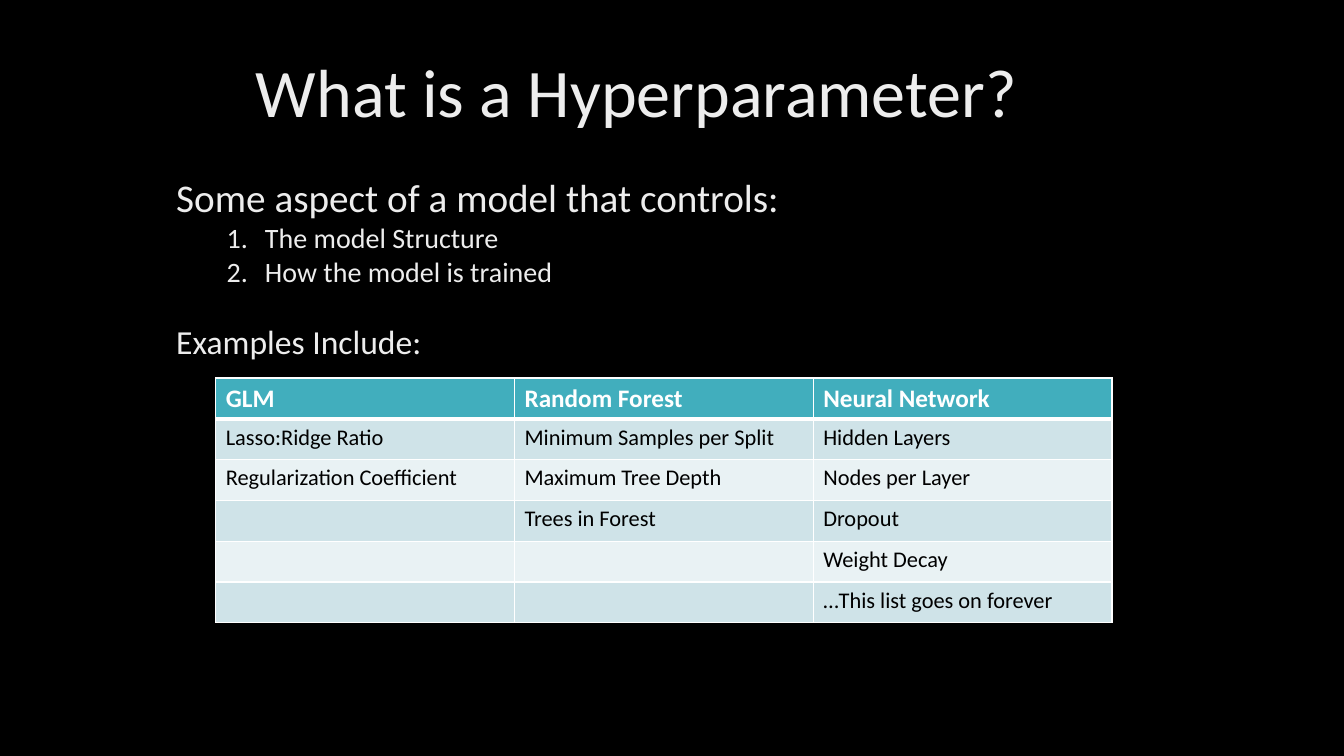
from lxml import etree
from pptx import Presentation
from pptx.dml.color import RGBColor
from pptx.enum.text import MSO_ANCHOR
from pptx.oxml.ns import qn
from pptx.util import Inches, Pt

COLORS = {
    "background": "000000",
    "text": "EDEDED",
    "header": "41AEBD",
    "odd_row": "CFE3E8",
    "even_row": "E9F2F4",
    "border": "FFFFFF",
    "header_text": "FFFFFF",
    "cell_text": "000000",
}
FONT = "Calibri"

TITLE = [{"text": "What is a Hyperparameter?", "size": 48.6, "line": 0.9}]
BODY = [
    {"text": "Some aspect of a model that controls:", "size": 28},
    {"text": "The model Structure", "size": 20, "before": 5, "numbered": True},
    {"text": "How the model is trained", "size": 20, "before": 5, "numbered": True},
    {"text": "Examples Include:", "size": 24, "before": 29.5},
]
EXAMPLES = [
    ("GLM", "Random Forest", "Neural Network"),
    ("Lasso:Ridge Ratio", "Minimum Samples per Split", "Hidden Layers"),
    ("Regularization Coefficient", "Maximum Tree Depth", "Nodes per Layer"),
    ("", "Trees in Forest", "Dropout"),
    ("", "", "Weight Decay"),
    ("", "", "…This list goes on forever"),
]
TITLE_BOX = (2.44, 0.57, 8.45, 0.75)
BODY_BOX = (1.65, 1.76, 9.86, 1.99)
TABLE_BOX = (2.14, 3.75, 8.89, 2.43)


def set_font(font, size, color, bold=False):
    values = {"name": FONT, "size": Pt(size), "bold": bold}
    for name, value in values.items():
        setattr(font, name, value)
    font.color.rgb = RGBColor.from_string(COLORS[color])


def number_paragraph(paragraph):
    properties = paragraph._p.get_or_add_pPr()
    properties.set("marL", str(Inches(0.88)))
    properties.set("indent", str(Inches(-0.38)))
    etree.SubElement(properties, qn("a:buAutoNum"), type="arabicPeriod")


def add_text(slide, box, items, anchor):
    frame = slide.shapes.add_textbox(*map(Inches, box)).text_frame
    frame.word_wrap = True
    frame.vertical_anchor = anchor
    for index, item in enumerate(items):
        paragraph = frame.add_paragraph() if index else frame.paragraphs[0]
        if item.get("numbered"):
            number_paragraph(paragraph)
        paragraph.line_spacing = item.get("line", 0.8)
        paragraph.space_before = Pt(item.get("before", 0))
        run = paragraph.add_run()
        run.text = item["text"]
        set_font(run.font, item["size"], "text")


def set_borders(cell, widths):
    properties = cell._tc.get_or_add_tcPr()
    for side, width in widths.items():
        line = etree.SubElement(properties, qn(f"a:ln{side}"), w=str(Pt(width)))
        fill = etree.SubElement(line, qn("a:solidFill"))
        etree.SubElement(fill, qn("a:srgbClr"), val=COLORS["border"])


def add_examples(slide):
    row_count, column_count = len(EXAMPLES), len(EXAMPLES[0])
    table = slide.shapes.add_table(row_count, column_count, *map(Inches, TABLE_BOX)).table
    for row, texts in enumerate(EXAMPLES):
        is_header = row == 0
        fill = "header" if is_header else ("even_row", "odd_row")[row % 2]
        size, color = (18, "header_text") if is_header else (16, "cell_text")
        widths = {"L": 1, "R": 1, "T": 3 if row == 1 else 1, "B": 3 if is_header else 1}
        for column, text in enumerate(texts):
            cell = table.cell(row, column)
            cell.text = text
            set_borders(cell, widths)
            cell.fill.solid()
            cell.fill.fore_color.rgb = RGBColor.from_string(COLORS[fill])
            paragraph = cell.text_frame.paragraphs[0]
            for item in (paragraph, *paragraph.runs):
                set_font(item.font, size, color, is_header)


def main():
    presentation = Presentation()
    presentation.slide_width = Inches(13.33)
    presentation.slide_height = Inches(7.5)
    slide = presentation.slides.add_slide(presentation.slide_layouts[6])
    background = slide.background.fill
    background.solid()
    background.fore_color.rgb = RGBColor.from_string(COLORS["background"])
    add_text(slide, TITLE_BOX, TITLE, MSO_ANCHOR.MIDDLE)
    add_text(slide, BODY_BOX, BODY, MSO_ANCHOR.TOP)
    add_examples(slide)
    presentation.save("out.pptx")


if __name__ == "__main__":
    main()
